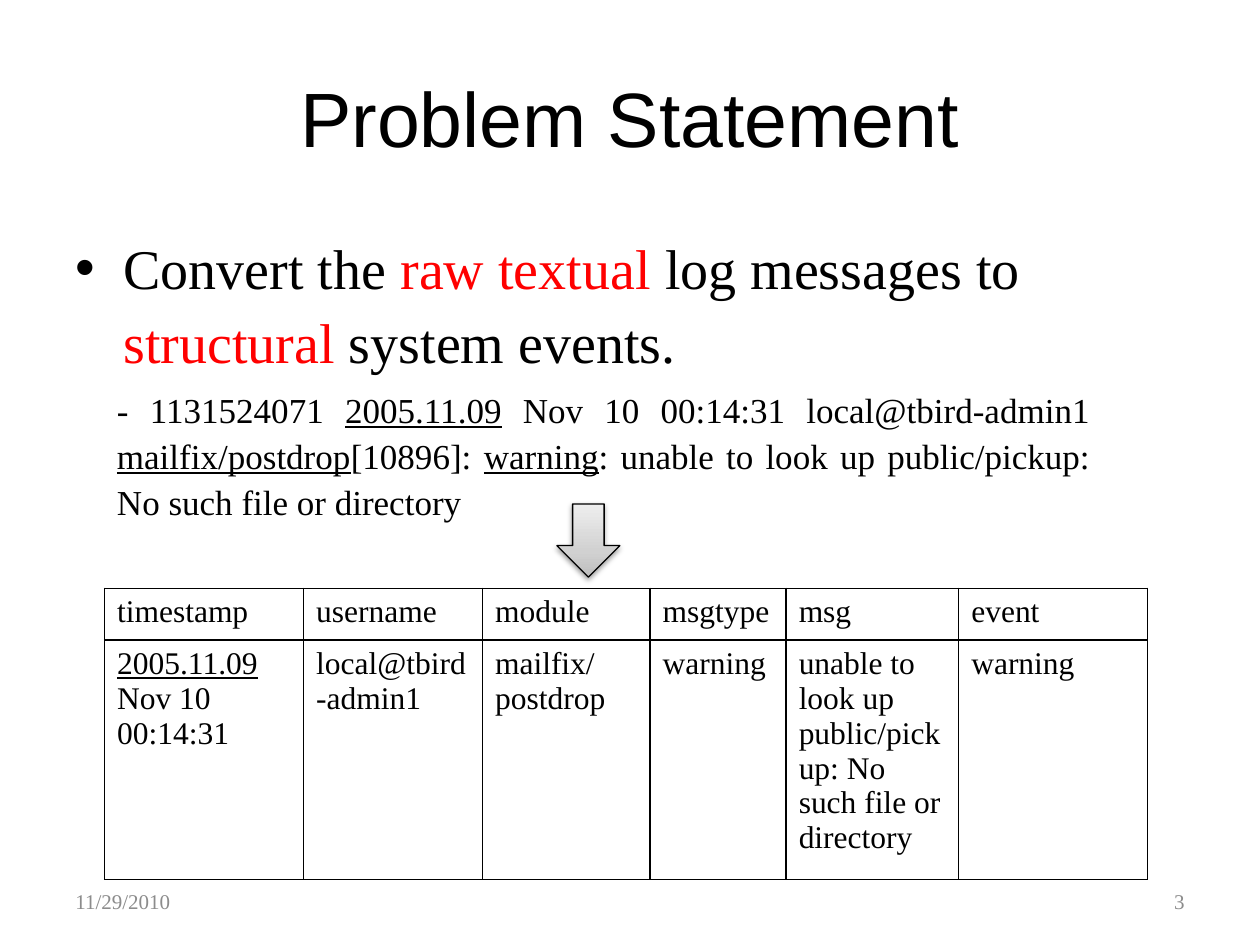
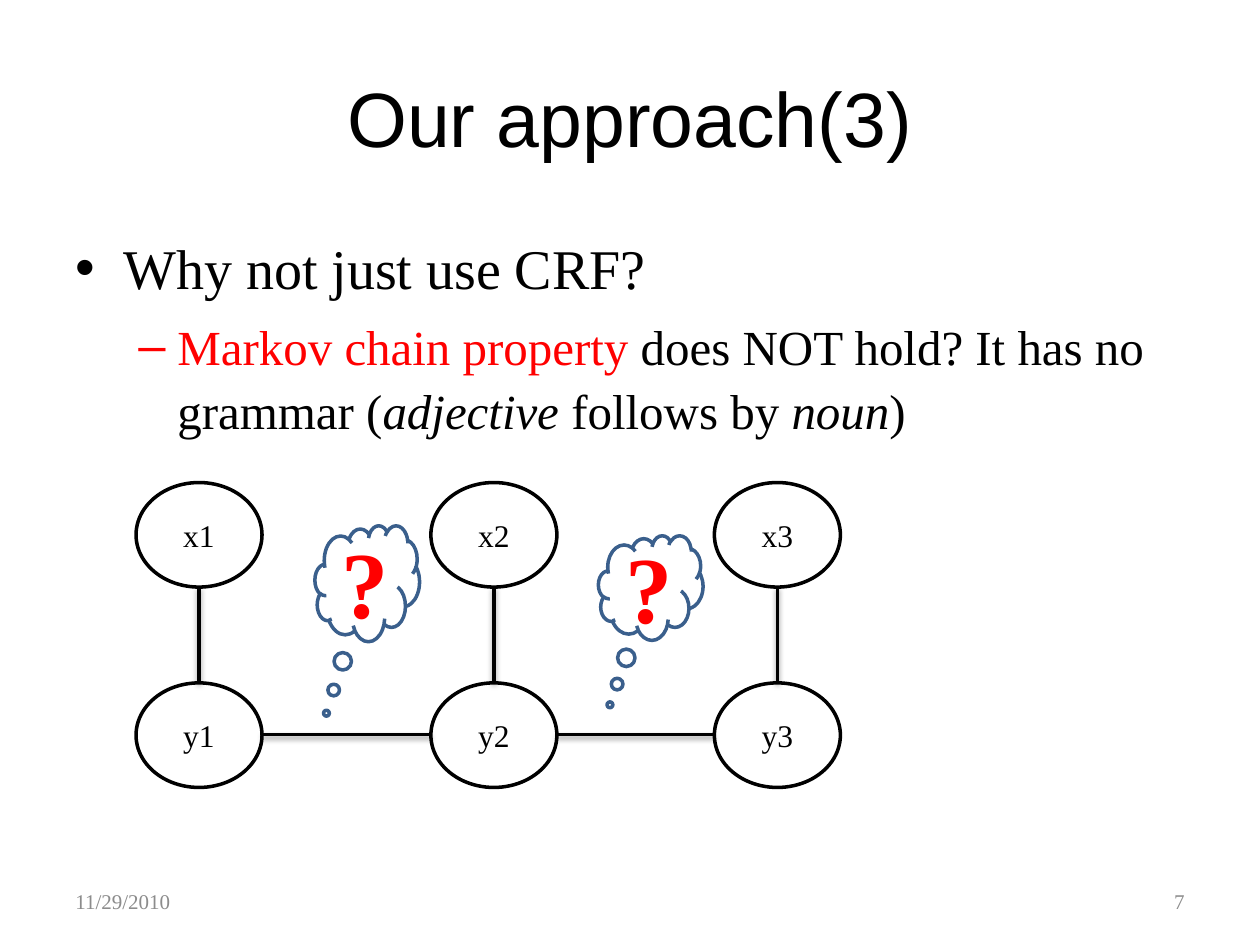
from dataclasses import dataclass
from typing import Any, NamedTuple

import lxml.etree
import pptx
import pptx.dml.color
import pptx.enum.shapes
import pptx.enum.text
import pptx.oxml.ns
import pptx.util

SCALE = 9144  # EMU in one px; 100 px make an inch
qn = pptx.oxml.ns.qn
Align = pptx.enum.text.PP_ALIGN
Anchor = pptx.enum.text.MSO_ANCHOR
Kind = pptx.enum.shapes.MSO_SHAPE


@dataclass(frozen=True)
class Theme:
    head: str = "Arial"
    body: str = "Times New Roman"
    ink: str = "000000"
    red: str = "FF0000"
    gray: str = "8C8C8C"
    blue: str = "3A5F8C"
    steel: tuple = ((0, "BDBDBD"), (35, "D1D1D1"), (100, "EEEEEE"))
    title: int = 44
    levels: tuple = (32, 28)
    log: int = 20
    label: int = 18
    foot: int = 12
    mark: int = 54
    thin: float = 0.75
    rule: float = 1
    thick: float = 2
    lead: float = 1.1


THEME = Theme()


class Box(NamedTuple):
    x: int
    y: int
    w: int
    h: int


class Bit(NamedTuple):
    """A stretch of text in one style."""
    text: str
    color: str = THEME.ink
    under: bool = False
    slant: bool = False
    bold: bool = False


class Point(NamedTuple):
    """A bulleted paragraph."""
    level: int
    bits: list[Bit]


class Bullet(NamedTuple):
    sign: str
    left: int
    hang: int


class Cloud(NamedTuple):
    box: Box
    text: str


BULLETS = (Bullet("•", 38, 38), Bullet("–", 81, 31))


def px(size: int) -> int:
    return size * SCALE


def area(box: Box) -> list[int]:
    return [px(side) for side in box]


def rgb(code: str) -> Any:
    return pptx.dml.color.RGBColor.from_string(code)


def node(parent: Any, tag: str, **attrs: Any) -> Any:
    """Append a drawing element to its parent."""
    return lxml.etree.SubElement(parent, qn(tag), {k: str(v) for k, v in attrs.items()})


def write(para: Any, bits: list[Bit], size: int, face: str = THEME.body) -> None:
    for bit in bits:
        run = para.add_run()
        run.text = bit.text
        font = run.font
        font.name, font.size = face, pptx.util.Pt(size)
        font.color.rgb = rgb(bit.color)
        if bit.under:
            font.underline = True
        if bit.slant:
            font.italic = True
        if bit.bold:
            font.bold = True


def frame(slide: Any, box: Box, anchor: Any = Anchor.TOP) -> Any:
    text = slide.shapes.add_textbox(*area(box)).text_frame
    text.word_wrap = True
    text.vertical_anchor = anchor
    return text


def line(slide: Any, box: Box, bit: Bit, size: int, align: Any, face: str = THEME.body) -> None:
    """Put one line of text in a box, centred in height."""
    para = frame(slide, box, Anchor.MIDDLE).paragraphs[0]
    para.alignment = align
    write(para, [bit], size, face)


def outline(shape: Any, color: str, width: float) -> None:
    shape.line.color.rgb = rgb(color)
    shape.line.width = pptx.util.Pt(width)


def shade(shape: Any) -> None:
    """Cast a soft shadow straight down."""
    spot = shape.element.spPr
    old = spot.find(qn("a:effectLst"))
    if old is not None:
        spot.remove(old)
    cast = node(node(spot, "a:effectLst"), "a:outerShdw", blurRad=39400, dist=20300,
                dir=5400000, rotWithShape=0)
    node(node(cast, "a:srgbClr", val=THEME.ink), "a:alpha", val=38000)


def form(slide: Any, kind: Any, box: Box, color: str, width: float) -> Any:
    shape = slide.shapes.add_shape(kind, *area(box))
    shape.shadow.inherit = False
    shape.fill.background()
    outline(shape, color, width)
    return shape


def label(shape: Any, bit: Bit, size: int) -> None:
    text = shape.text_frame
    text.vertical_anchor = Anchor.MIDDLE
    para = text.paragraphs[0]
    para.alignment = Align.CENTER
    write(para, [bit], size)


def link(slide: Any, x1: int, y1: int, x2: int, y2: int) -> None:
    wire = slide.shapes.add_connector(
        pptx.enum.shapes.MSO_CONNECTOR.STRAIGHT, px(x1), px(y1), px(x2), px(y2))
    outline(wire, THEME.ink, THEME.thick)
    shade(wire)


def list_points(slide: Any, points: list[Point]) -> None:
    text = frame(slide, Box(50, 175, 900, 495))
    for i, point in enumerate(points):
        para = text.add_paragraph() if i else text.paragraphs[0]
        size, mark = THEME.levels[point.level], BULLETS[point.level]
        para.level = point.level
        para.line_spacing = THEME.lead
        para.space_before = pptx.util.Pt(size * 0.2)
        props = para._p.get_or_add_pPr()
        props.set("marL", str(px(mark.left)))
        props.set("indent", str(-px(mark.hang)))
        node(props, "a:buFont", typeface=THEME.head)
        node(props, "a:buChar", char=mark.sign)
        write(para, point.bits, size)


def start(deck: Any, title: str, number: int, points: list[Point]) -> Any:
    """Add a slide with title, points, date and number."""
    slide = deck.slides.add_slide(deck.slide_layouts[6])
    line(slide, Box(50, 30, 900, 125), Bit(title), THEME.title, Align.CENTER, THEME.head)
    list_points(slide, points)
    for x, text, align in ((50, "11/29/2010", Align.LEFT), (717, str(number), Align.RIGHT)):
        line(slide, Box(x, 695, 233, 40), Bit(text, THEME.gray), THEME.foot, align)
    return slide


def rule(cell: Any) -> None:
    """Draw all four borders of a cell."""
    props = cell._tc.get_or_add_tcPr()
    for side in "LRTB":
        edge = node(props, f"a:ln{side}", w=pptx.util.Pt(THEME.rule))
        node(node(edge, "a:solidFill"), "a:srgbClr", val=THEME.ink)


def grid(slide: Any, x: int, y: int, cols: list[int], rows: list[int],
         cells: list[list[list[Bit]]]) -> None:
    box = Box(x, y, sum(cols), sum(rows))
    table = slide.shapes.add_table(len(rows), len(cols), *area(box)).table
    table.first_row = table.horz_banding = False
    for col, width in zip(table.columns, cols):
        col.width = px(width)
    for row, height, line_bits in zip(table.rows, rows, cells):
        row.height = px(height)
        for cell, bits in zip(row.cells, line_bits):
            rule(cell)
            cell.fill.background()
            write(cell.text_frame.paragraphs[0], bits, THEME.label)


def arrow(slide: Any, box: Box) -> None:
    shape = form(slide, Kind.DOWN_ARROW, box, THEME.ink, THEME.thin)
    shape.fill.gradient()
    shape.fill.gradient_angle = 90
    stops = shape.element.spPr.find(".//" + qn("a:gsLst"))
    for stop in list(stops):
        stops.remove(stop)
    for place, color in THEME.steel:
        node(node(stops, "a:gs", pos=place * 1000), "a:srgbClr", val=color)
    shade(shape)


def problem(deck: Any) -> None:
    slide = start(deck, "Problem Statement", 3, [Point(0, [
        Bit("Convert the "), Bit("raw textual ", THEME.red), Bit("log messages to "),
        Bit("structural", THEME.red), Bit(" system events.")])])
    day = Bit("2005.11.09", under=True)
    heads = ["timestamp", "username", "module", "msgtype", "msg", "event"]
    event = ["local@tbird-admin1", "mailfix/postdrop", "warning",
             "unable to look up public/pickup: No such file or directory", "warning"]
    grid(slide, 83, 467, [158, 142, 133, 108, 137, 150], [41, 176], [
        [[Bit(head)] for head in heads],
        [[day, Bit(" Nov 10 00:14:31")]] + [[Bit(text)] for text in event]])
    para = frame(slide, Box(83, 300, 792, 141)).paragraphs[0]
    para.alignment = Align.JUSTIFY
    para.line_spacing = THEME.lead
    write(para, [
        Bit("- 1131524071 "), day, Bit(" Nov 10 00:14:31 local@tbird-admin1 "),
        Bit("mailfix/postdrop", under=True), Bit("[10896]: "), Bit("warning", under=True),
        Bit(": unable to look up public/pickup: No such file or directory")], THEME.log)
    arrow(slide, Box(442, 400, 50, 58))


def approach(deck: Any) -> None:
    slide = start(deck, "Our approach(3)", 7, [
        Point(0, [Bit("Why not just use CRF?")]),
        Point(1, [Bit("Markov chain property ", THEME.red),
                  Bit("does NOT hold? It has no grammar ("), Bit("adjective", slant=True),
                  Bit(" follows by "), Bit("noun", slant=True), Bit(")")])])
    wide, high = 100, 83
    lefts, tops = [108, 342, 567], {"x": 383, "y": 542}
    for i, left in enumerate(lefts, 1):
        for name, top in tops.items():
            oval = form(slide, Kind.OVAL, Box(left, top, wide, high), THEME.ink, THEME.thick)
            label(oval, Bit(f"{name}{i}"), THEME.label)
        mid = left + wide // 2
        link(slide, mid, tops["x"] + high, mid, tops["y"])
    level = tops["y"] + high // 2
    for left, right in zip(lefts, lefts[1:]):
        link(slide, right, level, left + wide, level)
    for cloud in (Cloud(Box(250, 417, 83, 92), "?"), Cloud(Box(475, 425, 83, 83), "?")):
        shape = form(slide, Kind.CLOUD_CALLOUT, cloud.box, THEME.blue, THEME.thick)
        shape.adjustments[0], shape.adjustments[1] = -0.39, 1.12
        label(shape, Bit(cloud.text, THEME.red, bold=True), THEME.mark)


def main() -> None:
    deck = pptx.Presentation()
    deck.slide_width, deck.slide_height = px(1000), px(750)
    problem(deck)
    approach(deck)
    deck.save("out.pptx")


if __name__ == "__main__":
    main()
